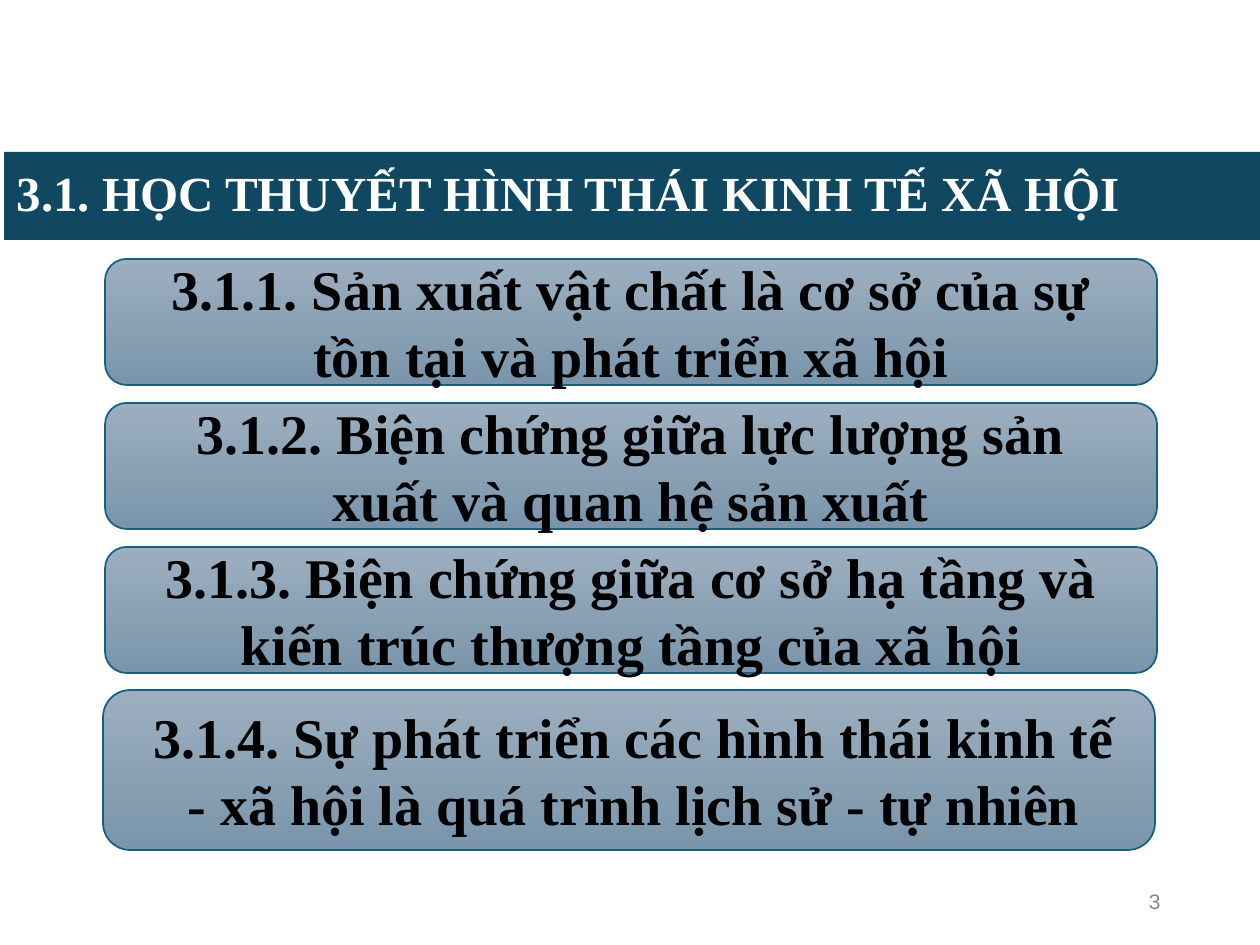
import pptx
import pptx.util
import pptx.dml.color
import pptx.enum.shapes
import pptx.enum.text

# Content
TITLE = "3.1. HỌC THUYẾT HÌNH THÁI KINH TẾ XÃ HỘI"
PAGE = "3"
# text, (left, top, width, height), left and right inset
SECTIONS = [
    ("3.1.1. Sản xuất vật chất là cơ sở của sự tồn tại và phát triển xã hội",
     (105, 259, 1052, 126), (29, 29)),
    ("3.1.2. Biện chứng giữa lực lượng sản xuất và quan hệ sản xuất",
     (105, 403, 1052, 126), (29, 29)),
    ("3.1.3. Biện chứng giữa cơ sở hạ tầng và kiến trúc thượng tầng của xã hội",
     (105, 547, 1052, 126), (29, 29)),
    ("3.1.4. Sự phát triển các hình thái kinh tế - xã hội là quá trình lịch sử - tự nhiên",
     (103, 690, 1052, 160), (27, 17)),
]
COLORS = {"band": "104862", "white": "FFFFFF", "black": "000000", "number": "898989",
          "top": "9CAFBF", "bottom": "7A95AB", "line": "156082"}
SERIF, SANS = "Times New Roman", "Arial"
ALIGN = pptx.enum.text.PP_ALIGN


def px(n):
    return pptx.util.Emu(round(n * 914400 / 126))


def color(name):
    return pptx.dml.color.RGBColor.from_string(COLORS[name])


def place(sp, box):
    sp.left, sp.top, sp.width, sp.height = map(px, box)


def write(sp, text, size, font, fill, align, bold=False):
    tf = sp.text_frame
    tf.word_wrap = True
    tf.auto_size = pptx.enum.text.MSO_AUTO_SIZE.NONE
    tf.vertical_anchor = pptx.enum.text.MSO_ANCHOR.MIDDLE
    p = tf.paragraphs[0]
    p.alignment = align
    r = p.add_run()
    r.text = text
    r.font.size = pptx.util.Pt(size)
    r.font.name = font
    r.font.bold = bold
    r.font.color.rgb = color(fill)
    return tf


prs = pptx.Presentation()
prs.slide_width, prs.slide_height = px(1260), px(945)
s = prs.slides.add_slide(prs.slide_layouts[5])

# Title band
sp = s.shapes.title
place(sp, (4, 152, 1260, 88))
sp.fill.solid()
sp.fill.fore_color.rgb = color("band")
tf = write(sp, TITLE, 28, SERIF, "white", ALIGN.LEFT, True)
tf.paragraphs[0].line_spacing = 0.9

# Page number
sp = s.shapes.add_textbox(*map(px, (890, 876, 283, 50)))
write(sp, PAGE, 12, SANS, "number", ALIGN.RIGHT)

# Section boxes
for text, box, (inset_left, inset_right) in SECTIONS:
    sp = s.shapes.add_shape(pptx.enum.shapes.MSO_SHAPE.ROUNDED_RECTANGLE, *map(px, box))
    sp.shadow.inherit = False
    sp.adjustments[0] = 0.17
    sp.fill.gradient()
    sp.fill.gradient_angle = 270
    for stop, name, position in zip(sp.fill.gradient_stops, ("top", "bottom"), (0, 1)):
        stop.color.rgb = color(name)
        stop.position = position
    sp.line.color.rgb = color("line")
    sp.line.width = pptx.util.Pt(1)
    tf = write(sp, text, 32, SERIF, "black", ALIGN.CENTER, True)
    tf.margin_left, tf.margin_right = px(inset_left), px(inset_right)
    tf.margin_top = tf.margin_bottom = 0

prs.save("out.pptx")
